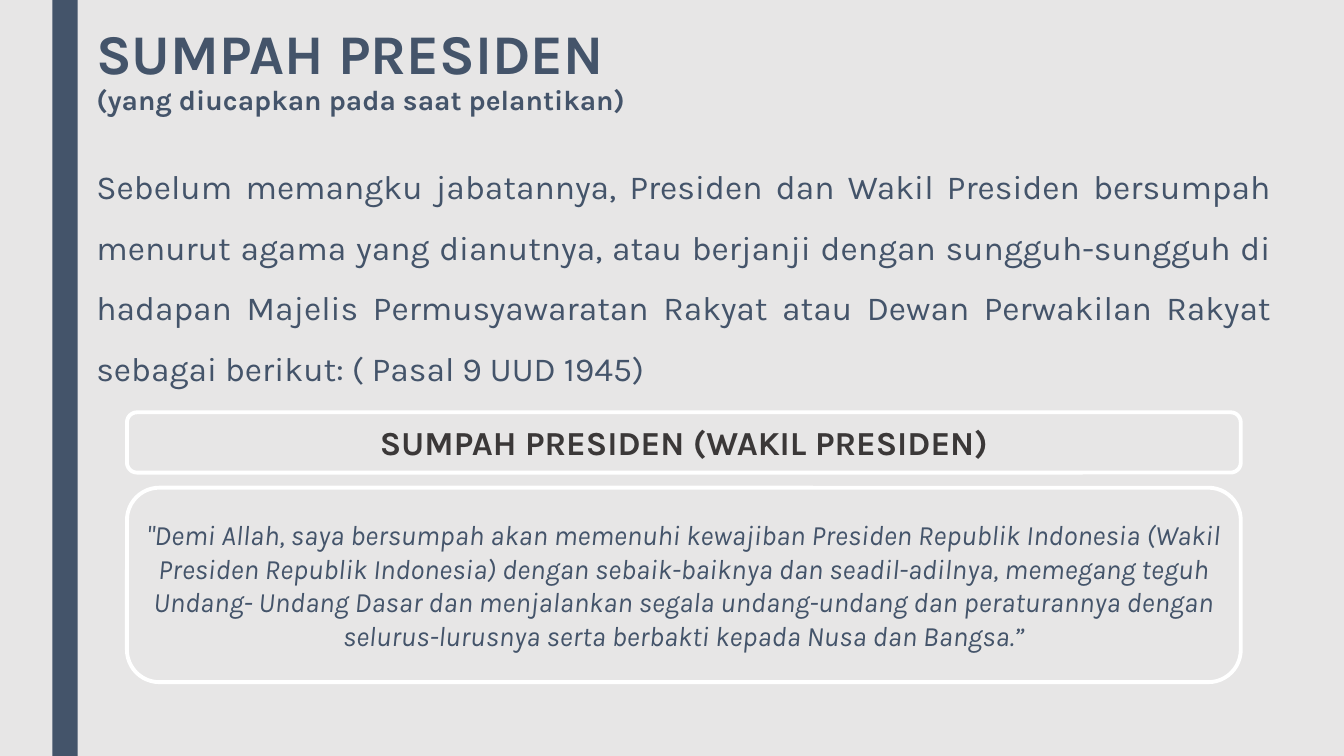
from pptx import Presentation
from pptx.dml.color import RGBColor
from pptx.enum.shapes import MSO_SHAPE
from pptx.enum.text import MSO_ANCHOR, PP_ALIGN
from pptx.util import Cm, Pt

RECT, ROUNDED = MSO_SHAPE.RECTANGLE, MSO_SHAPE.ROUNDED_RECTANGLE
TOP, MIDDLE = MSO_ANCHOR.TOP, MSO_ANCHOR.MIDDLE
LEFT, CENTER, JUSTIFY = PP_ALIGN.LEFT, PP_ALIGN.CENTER, PP_ALIGN.JUSTIFY

FONT = "Karla"
NAVY, DARK, GRAY, WHITE = "44546A", "3B3838", "E7E6E6", "FFFFFF"
TEXT_LEFT = 2.18
BOX_LEFT, BOX_WIDTH = 3.2, 28.07

INTRO = (
    "Sebelum memangku jabatannya, Presiden dan Wakil Presiden bersumpah "
    "menurut agama yang dianutnya, atau berjanji dengan sungguh-sungguh di "
    "hadapan Majelis Permusyawaratan Rakyat atau Dewan Perwakilan Rakyat "
    "sebagai berikut: ( Pasal 9 UUD 1945)"
)
OATH = (
    '"Demi Allah, saya bersumpah akan memenuhi kewajiban Presiden Republik '
    "Indonesia (Wakil Presiden Republik Indonesia) dengan sebaik-baiknya dan "
    "seadil-adilnya, memegang teguh Undang- Undang Dasar dan menjalankan segala "
    "undang-undang dan peraturannya dengan selurus-lurusnya serta berbakti "
    "kepada Nusa dan Bangsa.”"
)


def rgb(value):
    return RGBColor.from_string(value)


def write(s, text, size, color=NAVY, align=LEFT, anchor=TOP, bold=False, italic=False):
    tf = s.text_frame
    tf.word_wrap = True
    tf.vertical_anchor = anchor
    p = tf.paragraphs[0]
    p.alignment = align
    p.font.name = FONT
    p.font.size = Pt(size)
    p.font.bold = bold
    p.font.italic = italic
    p.font.color.rgb = rgb(color)
    p.add_run().text = text
    return p


def add_text(slide, left, top, width, height, text, size, **style):
    s = slide.shapes.add_textbox(Cm(left), Cm(top), Cm(width), Cm(height))
    return write(s, text, size, **style)


def add_block(slide, kind, left, top, width, height, fill, line=None):
    s = slide.shapes.add_shape(kind, Cm(left), Cm(top), Cm(width), Cm(height))
    s.shadow.inherit = False
    s.fill.solid()
    s.fill.fore_color.rgb = rgb(fill)
    if line:
        s.line.color.rgb = rgb(line)
        s.line.width = Pt(2.75)
    else:
        s.line.fill.background()
    return s


def add_box(slide, top, height, text, size, **style):
    s = add_block(slide, ROUNDED, BOX_LEFT, top, BOX_WIDTH, height, GRAY, WHITE)
    write(s, text, size, align=CENTER, anchor=MIDDLE, **style)


def main():
    prs = Presentation()
    prs.slide_width, prs.slide_height = Cm(33.87), Cm(19.05)
    slide = prs.slides.add_slide(prs.slide_layouts[6])
    slide.background.fill.solid()
    slide.background.fill.fore_color.rgb = rgb(GRAY)

    # Side bar
    add_block(slide, RECT, 1.32, 0, 0.64, 19.05, NAVY)

    # Title with its smaller second line
    p = add_text(slide, TEXT_LEFT, 0.56, 26.67, 3, "SUMPAH PRESIDEN", 40, bold=True)
    p.line_spacing = 0.89
    p.add_line_break()
    r = p.add_run()
    r.text = "(yang diucapkan pada saat pelantikan)"
    r.font.size = Pt(20)

    # Introduction
    p = add_text(slide, TEXT_LEFT, 3.56, 30.1, 6.43, INTRO, 24, align=JUSTIFY)
    p.line_spacing = 1.5
    p.space_before, p.space_after = Pt(10), Pt(2)

    # Oath heading and wording
    add_box(slide, 10.39, 1.52, "SUMPAH PRESIDEN (WAKIL PRESIDEN)", 24, color=DARK, bold=True)
    add_box(slide, 12.29, 4.9, OATH, 20, italic=True)

    prs.save("out.pptx")


if __name__ == "__main__":
    main()
